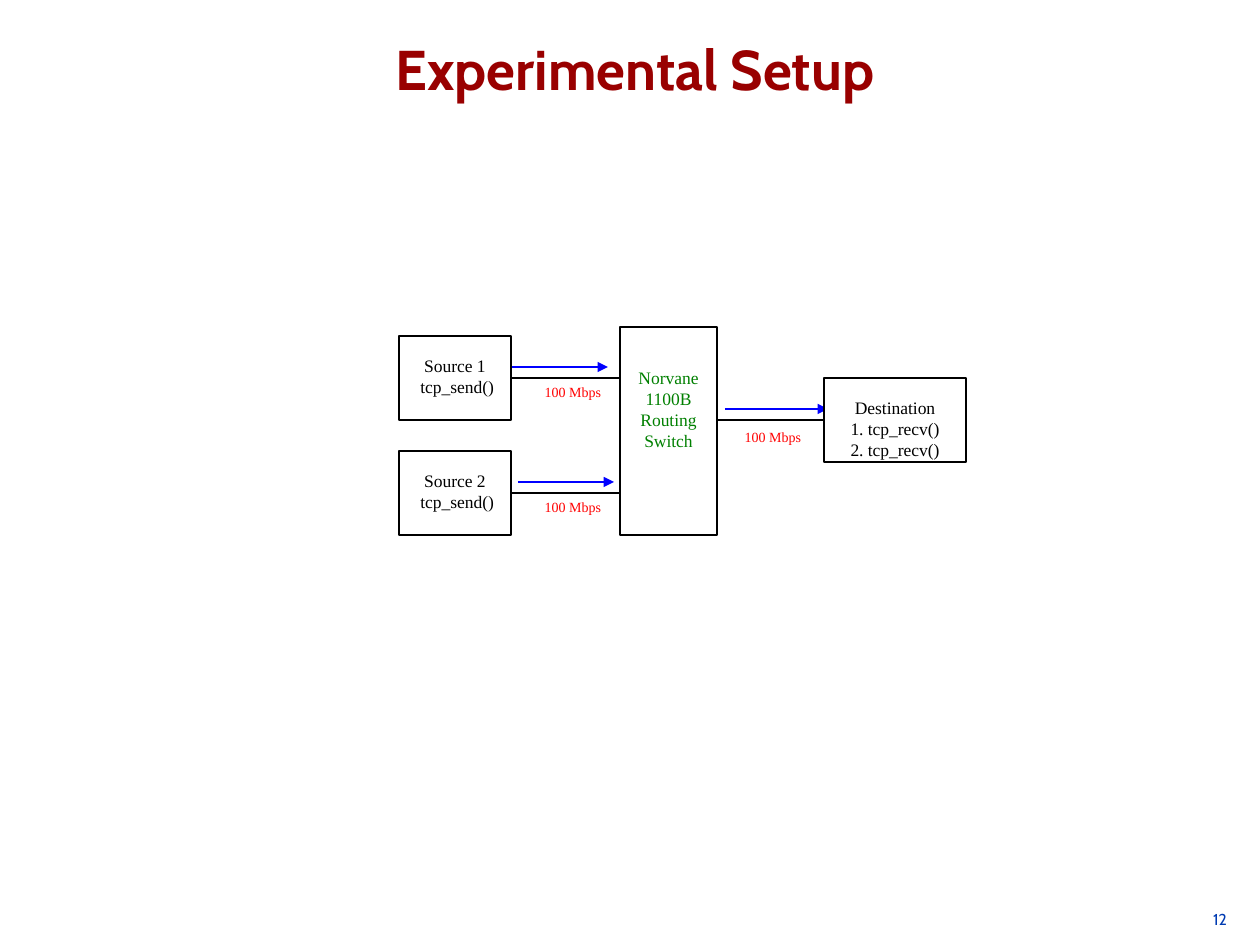
from lxml.etree import SubElement
from pptx import Presentation
from pptx.dml.color import RGBColor
from pptx.enum.shapes import MSO_CONNECTOR, MSO_SHAPE
from pptx.enum.text import MSO_ANCHOR, PP_ALIGN
from pptx.oxml.ns import qn
from pptx.util import Pt

PX = 914400 / 126
COLORS = {
    "title": "990000",
    "page": "003BB2",
    "ink": "000000",
    "paper": "FFFFFF",
    "flow": "0000FF",
    "rate": "FF0000",
    "switch": "008000",
}
HEADING_FONT = "Cabin"
DIAGRAM_FONT = "Times New Roman"


def emu(*lengths):
    return [round(length * PX) for length in lengths]


def rgb(name):
    return RGBColor.from_string(COLORS[name])


def set_text(shape, text, size, font, color, insets, align=PP_ALIGN.CENTER, bold=False):
    """Fill a shape with one paragraph per line of text."""
    frame = shape.text_frame
    frame.text = text
    frame.word_wrap = True
    frame.vertical_anchor = MSO_ANCHOR.TOP
    (frame.margin_left, frame.margin_top,
     frame.margin_right, frame.margin_bottom) = emu(*insets)
    for paragraph in frame.paragraphs:
        paragraph.alignment = align
        for run in paragraph.runs:
            run.font.size = Pt(size)
            run.font.name = font
            run.font.bold = bold
            run.font.color.rgb = rgb(color)


def add_title(slide, box):
    title = slide.shapes.add_textbox(*emu(*box))
    set_text(title, "Experimental Setup", 32, HEADING_FONT, "title", (6, 0, 6, 0), bold=True)
    title.text_frame.paragraphs[0].line_spacing = 0.9


def add_page_number(slide, box):
    number = slide.shapes.add_textbox(*emu(*box))
    set_text(number, "12", 9, HEADING_FONT, "page", (11, 0, 11, 0), PP_ALIGN.RIGHT)


def add_line(slide, start, end, y, color, arrow=False):
    line = slide.shapes.add_connector(MSO_CONNECTOR.STRAIGHT, *emu(start, y, end, y))
    line.line.color.rgb = rgb(color)
    line.line.width = Pt(0.75)
    if arrow:
        SubElement(line.line._get_or_add_ln(), qn("a:tailEnd"), type="triangle")
    SubElement(line._element.spPr, qn("a:effectLst"))


def add_link(slide, start, end, y, flow, rate_at):
    """A cable, the flow arrow above it and its rate below it."""
    add_line(slide, start, end, y, "ink")
    add_line(slide, *flow, "flow", arrow=True)
    rate = slide.shapes.add_textbox(*emu(*rate_at, 100, 29))
    set_text(rate, "100 Mbps", 8, DIAGRAM_FONT, "rate", (13, 6, 13, 6))


def add_node(slide, box, text, color="ink", top_inset=19):
    node = slide.shapes.add_shape(MSO_SHAPE.RECTANGLE, *emu(*box))
    node.shadow.inherit = False
    node.fill.solid()
    node.fill.fore_color.rgb = rgb("paper")
    node.line.color.rgb = rgb("ink")
    node.line.width = Pt(0.75)
    set_text(node, text, 10, DIAGRAM_FONT, color, (13, top_inset, 13, 6))


def add_network(slide, box):
    left, top, width, height = box
    source_w, node_h = 112, 84
    switch_x, switch_w = left + 221, 97
    destination_w = 142
    destination_x = left + width - destination_w
    source_tops = (top + 9, top + height - node_h)

    # Links lie behind the nodes
    for source_top, flow_x in zip(source_tops, (left + 113, left + 119)):
        cable_y = source_top + node_h // 2
        add_link(slide, left + source_w, switch_x, cable_y,
                 (flow_x, flow_x + 96, cable_y - 11), (left + 124, cable_y))
    destination_top = top + 51
    cable_y = destination_top + node_h // 2
    switch_right = switch_x + switch_w
    add_link(slide, switch_right, destination_x, cable_y,
             (switch_right + 8, destination_x + 4, cable_y - 11),
             (switch_right + 6, cable_y + 3))

    # Nodes
    for index, source_top in enumerate(source_tops, 1):
        add_node(slide, (left, source_top, source_w, node_h),
                 f"Source {index}\n tcp_send()")
    add_node(slide, (switch_x, top, switch_w, height),
             "Norvane\n1100B\nRouting\nSwitch", "switch", top_inset=40)
    add_node(slide, (destination_x, destination_top, destination_w, node_h),
             "Destination\n1. tcp_recv()\n2. tcp_recv()")


def main():
    deck = Presentation()
    deck.slide_width, deck.slide_height = emu(1260, 945)
    slide = deck.slides.add_slide(deck.slide_layouts[6])
    add_page_number(slide, (848, 910, 390, 21))
    add_title(slide, (73, 42, 1124, 60))
    add_network(slide, (399, 327, 567, 208))
    deck.save("out.pptx")


if __name__ == "__main__":
    main()
